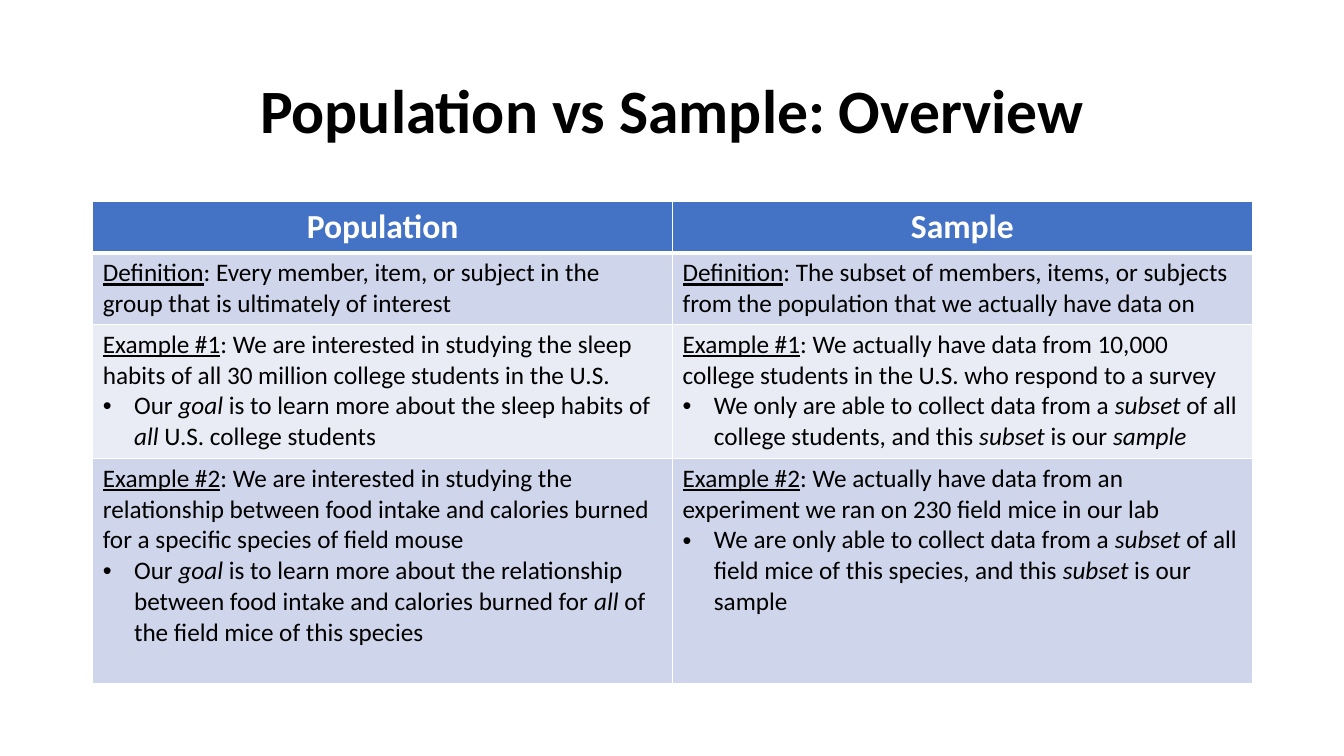
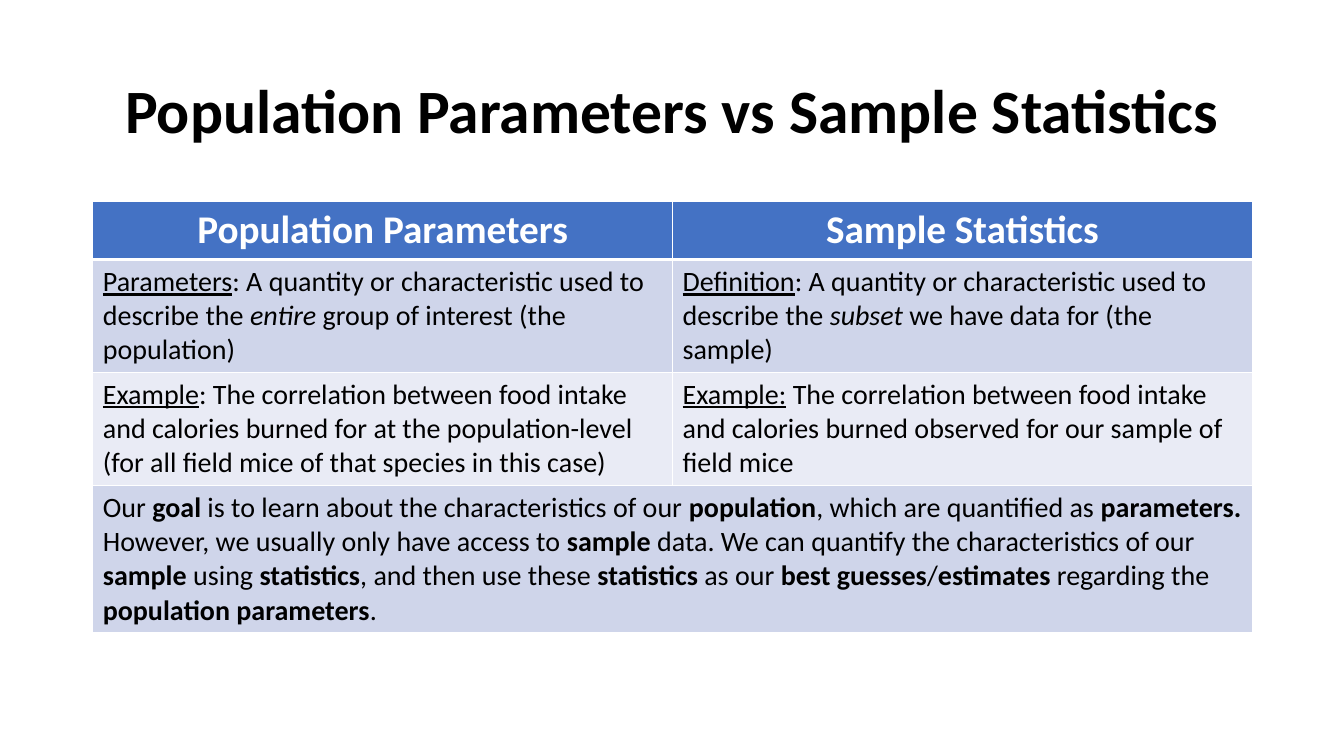
from lxml.etree import SubElement
from pptx import Presentation
from pptx.dml.color import RGBColor
from pptx.enum.text import MSO_ANCHOR, PP_ALIGN
from pptx.oxml.ns import qn
from pptx.util import Inches, Pt

FONT = "Calibri"
BLACK, WHITE, HEADER_BLUE = "000000", "FFFFFF", "4472C4"
BANDS = ["CFD5EA", "E9EBF5"]
LEFT, WIDTH = 0.92, 11.5
TITLE_TOP, TITLE_HEIGHT, TABLE_TOP = 0.4, 1.45, 2
BULLET_INDENT = 0.31

# fmt: off
SLIDES = [
    {
        "title": "Population vs Sample: Overview",
        "header_size": 24,
        "body_size": 18,
        "row_heights": [0.5, 0.7, 1.33, 2.23],
        "rows": [
            [["Population"], ["Sample"]],
            [
                ["|u:Definition|: Every member, item, or subject in the group that is ultimately of interest"],
                ["|u:Definition|: The subset of members, items, or subjects from the population "
                 "that we actually have data on"],
            ],
            [
                ["|u:Example #1|: We are interested in studying the sleep habits of all 30 million "
                 "college students in the U.S.",
                 "Our |i:goal| is to learn more about the sleep habits of |i:all| U.S. college students"],
                ["|u:Example #1|: We actually have data from 10,000 college students in the U.S. "
                 "who respond to a survey",
                 "We only are able to collect data from a |i:subset| of all college students, "
                 "and this |i:subset| is our |i:sample|"],
            ],
            [
                ["|u:Example #2|: We are interested in studying the relationship between food intake "
                 "and calories burned for a specific species of field mouse",
                 "Our |i:goal| is to learn more about the relationship between food intake "
                 "and calories burned for |i:all| of the field mice of this species"],
                ["|u:Example #2|: We actually have data from an experiment we ran on 230 field mice in our lab",
                 "We are only able to collect data from a |i:subset| of all field mice of this species, "
                 "and this |i:subset| is our sample"],
            ],
        ],
    },
    {
        "title": "Population Parameters vs Sample Statistics",
        "header_size": 28,
        "body_size": 20,
        "row_heights": [0.57, 1.12, 1.12, 1.46],
        "rows": [
            [["Population Parameters"], ["Sample Statistics"]],
            [
                ["|u:Parameters|: A quantity or characteristic used to describe the |i:entire| "
                 "group of interest (the population)"],
                ["|u:Definition|: A quantity or characteristic used to describe the |i:subset| "
                 "we have data for (the sample)"],
            ],
            [
                ["|u:Example|: The correlation between food intake and calories burned for at the "
                 "population-level (for all field mice of that species in this case)"],
                ["|u:Example:| The correlation between food intake and calories burned observed "
                 "for our sample of field mice"],
            ],
            [
                ["Our |b:goal| is to learn about the characteristics of our |b:population|, which are "
                 "quantified as |b:parameters.| However, we usually only have access to |b:sample| data. "
                 "We can quantify the characteristics of our |b:sample| using |b:statistics|, and then use "
                 "these |b:statistics| as our |b:best guesses|/|b:estimates |regarding the "
                 "|b:population parameters|."],
            ],
        ],
    },
]
# fmt: on


def rgb(color):
    return RGBColor.from_string(color)


def write_text(frame, paragraphs, size, color=BLACK, bold=False, align=PP_ALIGN.LEFT, spacing=None):
    for index, text in enumerate(paragraphs):
        paragraph = frame.paragraphs[0] if index == 0 else frame.add_paragraph()
        paragraph.alignment = align
        paragraph.line_spacing = spacing
        if index > 0:
            add_bullet(paragraph)
        for position, piece in enumerate(text.split("|")):
            style = ""
            if position % 2:
                style, _, piece = piece.partition(":")
            if not piece:
                continue
            run = paragraph.add_run()
            run.text = piece
            font = run.font
            font.name, font.size = FONT, Pt(size)
            font.color.rgb = rgb(color)
            font.bold = bold or style == "b"
            font.italic = style == "i"
            font.underline = style == "u"


def add_bullet(paragraph):
    properties = paragraph._p.get_or_add_pPr()
    properties.set("marL", str(Inches(BULLET_INDENT)))
    properties.set("indent", str(-Inches(BULLET_INDENT)))
    SubElement(properties, qn("a:buFont"), typeface="Arial")
    SubElement(properties, qn("a:buChar"), char="•")


def add_borders(cell, **widths):
    properties = cell._tc.get_or_add_tcPr()
    for side in "LRTB":
        line = SubElement(properties, qn(f"a:ln{side}"), w=str(Pt(widths.get(side, 1))))
        fill = SubElement(line, qn("a:solidFill"))
        SubElement(fill, qn("a:srgbClr"), val=WHITE)


def add_title(slide, text):
    title = slide.shapes.title
    title.left, title.top = Inches(LEFT), Inches(TITLE_TOP)
    title.width, title.height = Inches(WIDTH), Inches(TITLE_HEIGHT)
    title.text_frame.vertical_anchor = MSO_ANCHOR.MIDDLE
    write_text(title.text_frame, [text], 44, bold=True, align=PP_ALIGN.CENTER, spacing=0.9)


def add_comparison(slide, content):
    rows, heights = content["rows"], content["row_heights"]
    columns = len(rows[0])
    table = slide.shapes.add_table(
        len(rows), columns, Inches(LEFT), Inches(TABLE_TOP), Inches(WIDTH), Inches(sum(heights))
    ).table
    for column in table.columns:
        column.width = Inches(WIDTH / columns)
    for row_index, (row, height) in enumerate(zip(rows, heights)):
        table.rows[row_index].height = Inches(height)
        if len(row) < columns:
            table.cell(row_index, 0).merge(table.cell(row_index, columns - 1))
        is_header = row_index == 0
        for cell in table.rows[row_index].cells:
            add_borders(cell, B=3 if is_header else 1, T=3 if row_index == 1 else 1)
            cell.fill.solid()
            cell.fill.fore_color.rgb = rgb(HEADER_BLUE if is_header else BANDS[(row_index - 1) % 2])
        for column_index, paragraphs in enumerate(row):
            frame = table.cell(row_index, column_index).text_frame
            if is_header:
                write_text(frame, paragraphs, content["header_size"], WHITE, True, PP_ALIGN.CENTER)
            else:
                write_text(frame, paragraphs, content["body_size"])


def main():
    presentation = Presentation()
    presentation.slide_width, presentation.slide_height = Inches(13.33), Inches(7.5)
    title_only = presentation.slide_layouts[5]
    for content in SLIDES:
        slide = presentation.slides.add_slide(title_only)
        add_title(slide, content["title"])
        add_comparison(slide, content)
    presentation.save("out.pptx")


if __name__ == "__main__":
    main()
